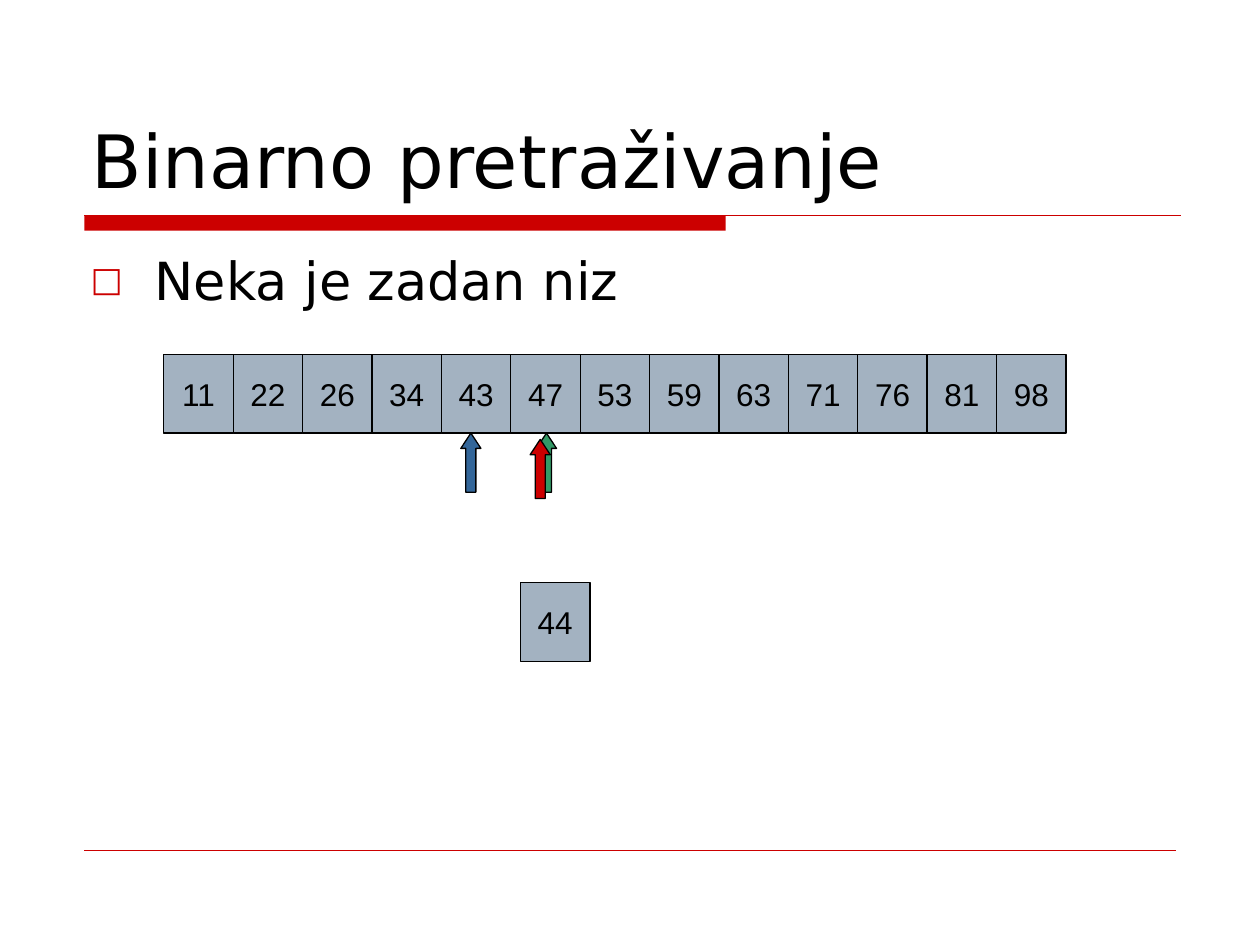
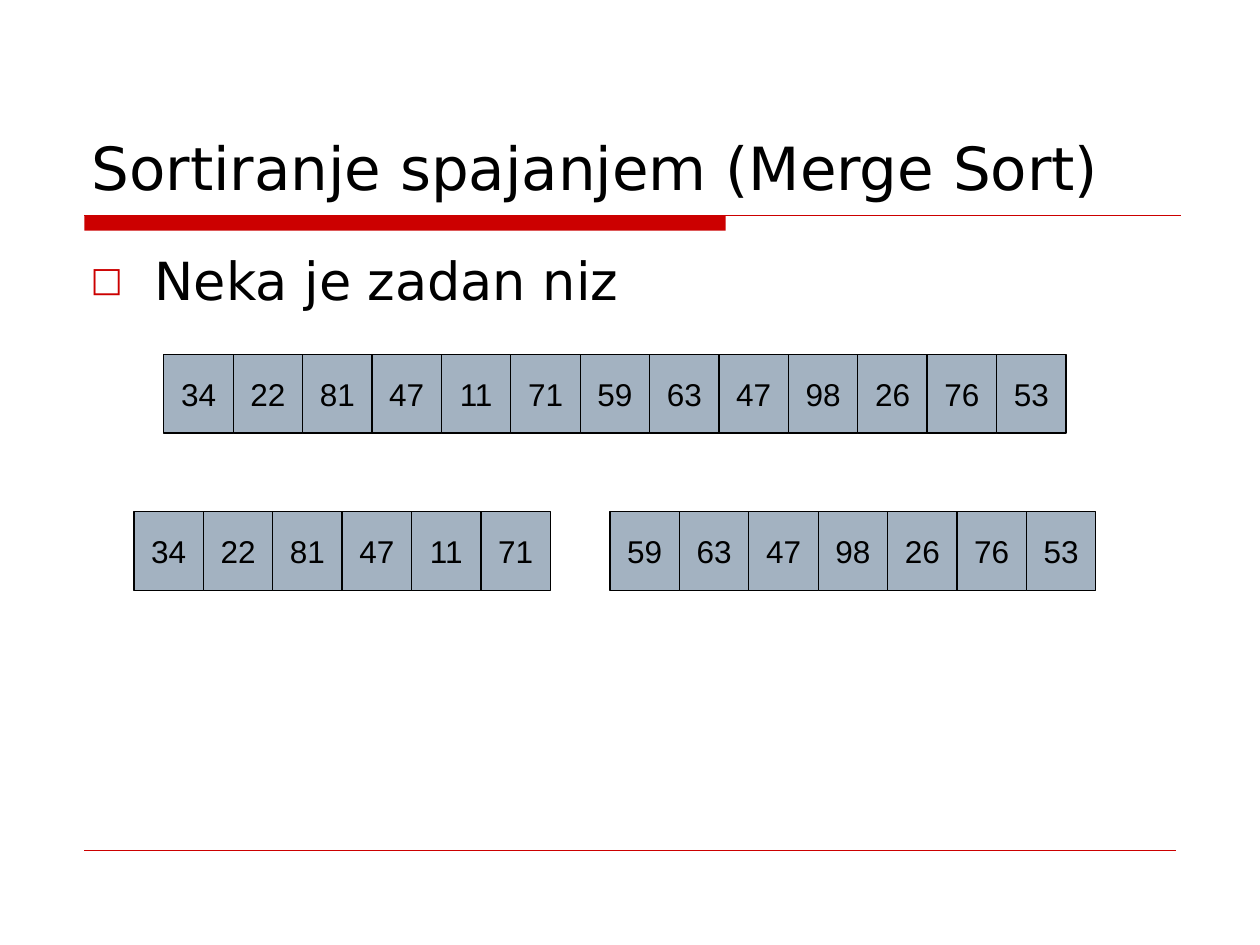
from dataclasses import dataclass
from typing import Any

from lxml import etree
from pptx import Presentation
from pptx import util as u
from pptx.dml.color import RGBColor
from pptx.enum import shapes, text
from pptx.oxml.ns import qn

BLACK = RGBColor(0x00, 0x00, 0x00)
RED = RGBColor(0xCC, 0x00, 0x00)
BLUE = RGBColor(0x33, 0x66, 0x99)
GREEN = RGBColor(0x33, 0x99, 0x66)
STEEL = RGBColor(0xA3, 0xB2, 0xC1)

HEADING_FONT = "DejaVu Sans"
CELL_FONT = "Arial"
WIDTH, HEIGHT = u.Inches(10), u.Inches(7.5)

GRID_LEFT = 13
COLUMN = 71.6 / 13
ROW = 100 / 12


@dataclass(frozen=True)
class Box:
    """Position and size as percentages of the slide."""

    left: float
    top: float
    width: float
    height: float

    def lengths(self) -> tuple[int, int, int, int]:
        return (int(WIDTH * self.left / 100), int(HEIGHT * self.top / 100),
                int(WIDTH * self.width / 100), int(HEIGHT * self.height / 100))


@dataclass(frozen=True)
class Rule:
    left: float
    right: float
    top: float
    weight: float


@dataclass(frozen=True)
class CellRun:
    column: float
    row: float
    values: tuple[int, ...]


@dataclass(frozen=True)
class Pointer:
    column: float
    row: float
    color: RGBColor


@dataclass(frozen=True)
class ArraySlide:
    title: str
    title_size: int
    runs: tuple[CellRun, ...]
    pointers: tuple[Pointer, ...] = ()


TITLE_BOX = Box(6.3, 4.4, 87.5, 17.73)
BODY_BOX = Box(6.2, 25.6, 87.5, 62.27)
BAND_BOX = Box(6.7, 22.8, 50.9, 1.6)
RULES = (Rule(6.7, 93.7, 22.8, 0.75), Rule(6.7, 93.3, 90, 0.25))
BODY_TEXT = "Neka je zadan niz"

UNSORTED = (34, 22, 81, 47, 11, 71, 59, 63, 47, 98, 26, 76, 53)
MIDDLE = len(UNSORTED) // 2
SLIDES = (
    ArraySlide(
        "Binarno pretraživanje", 42,
        (CellRun(0, 4.5, (11, 22, 26, 34, 43, 47, 53, 59, 63, 71, 76, 81, 98)),
         CellRun(5.14, 7.4, (44,))),
        (Pointer(4.28, 5.5, BLUE), Pointer(5.37, 5.5, GREEN),
         Pointer(5.28, 5.58, RED)),
    ),
    ArraySlide(
        "Sortiranje spajanjem (Merge Sort)", 34,
        (CellRun(0, 4.5, UNSORTED),
         CellRun(-0.43, 6.5, UNSORTED[:MIDDLE]),
         CellRun(MIDDLE + 0.43, 6.5, UNSORTED[MIDDLE:])),
    ),
)


def apply(target: Any, values: dict[str, Any]) -> None:
    for name, value in values.items():
        setattr(target, name, value)


def grid_box(column: float, row: float, columns: float, rows: float) -> Box:
    return Box(GRID_LEFT + column * COLUMN, row * ROW,
               columns * COLUMN, rows * ROW)


def write(shape: Any, words: str, font: str, size: float,
          frame_format: dict[str, Any], para_format: dict[str, Any]) -> Any:
    apply(shape.text_frame, frame_format)
    para = shape.text_frame.paragraphs[0]
    apply(para, para_format)
    span = para.add_run()
    span.text = words
    apply(span.font, {"name": font, "size": u.Pt(size)})
    span.font.color.rgb = BLACK
    return para


def add_text(page: Any, box: Box, words: str, size: float,
             anchor: text.MSO_ANCHOR, para_format: dict[str, Any]) -> Any:
    shape = page.shapes.add_textbox(*box.lengths())
    return write(shape, words, HEADING_FONT, size,
                 {"word_wrap": True, "vertical_anchor": anchor}, para_format)


def add_bullet(para: Any) -> None:
    properties = para._p.get_or_add_pPr()
    properties.set("marL", str(u.Inches(0.51)))
    properties.set("indent", str(-u.Inches(0.51)))
    color = etree.SubElement(properties, qn("a:buClr"))
    etree.SubElement(color, qn("a:srgbClr"), val=str(RED))
    etree.SubElement(properties, qn("a:buSzPct"), val="65000")
    etree.SubElement(properties, qn("a:buFont"), typeface=HEADING_FONT)
    etree.SubElement(properties, qn("a:buChar"), char="□")


def add_figure(page: Any, kind: shapes.MSO_SHAPE, box: Box, fill: RGBColor,
               outlined: bool = True) -> Any:
    shape = page.shapes.add_shape(kind, *box.lengths())
    shape.shadow.inherit = False
    shape.fill.solid()
    shape.fill.fore_color.rgb = fill
    if outlined:
        shape.line.color.rgb = BLACK
        shape.line.width = u.Pt(0.75)
    else:
        shape.line.fill.background()
    return shape


def add_rule(page: Any, rule: Rule) -> None:
    left, top, width, _ = Box(rule.left, rule.top, rule.right - rule.left, 0).lengths()
    line = page.shapes.add_connector(
        shapes.MSO_CONNECTOR.STRAIGHT, left, top, left + width, top)
    line.line.color.rgb = RED
    line.line.width = u.Pt(rule.weight)
    etree.SubElement(line._element.spPr, qn("a:effectLst"))


def add_cells(page: Any, run: CellRun) -> None:
    for index, value in enumerate(run.values):
        cell = add_figure(page, shapes.MSO_SHAPE.RECTANGLE,
                          grid_box(run.column + index, run.row, 1, 1), STEEL)
        write(cell, str(value), CELL_FONT, 18,
              {"word_wrap": False, "vertical_anchor": text.MSO_ANCHOR.MIDDLE},
              {"alignment": text.PP_ALIGN.CENTER})


def add_pointer(page: Any, pointer: Pointer) -> None:
    arrow = add_figure(page, shapes.MSO_SHAPE.UP_ARROW,
                       grid_box(pointer.column, pointer.row, 0.29, 0.75),
                       pointer.color)
    arrow.adjustments[0] = 0.5
    arrow.adjustments[1] = 0.76


def add_page(deck: Any, content: ArraySlide) -> None:
    page = deck.slides.add_slide(deck.slide_layouts[6])
    add_figure(page, shapes.MSO_SHAPE.RECTANGLE, BAND_BOX, RED, outlined=False)
    for rule in RULES:
        add_rule(page, rule)
    add_text(page, TITLE_BOX, content.title, content.title_size,
             text.MSO_ANCHOR.BOTTOM, {})
    body = add_text(page, BODY_BOX, BODY_TEXT, 30, text.MSO_ANCHOR.TOP,
                    {"space_before": u.Pt(7.5)})
    add_bullet(body)
    for run in content.runs:
        add_cells(page, run)
    for pointer in content.pointers:
        add_pointer(page, pointer)


def main() -> None:
    deck = Presentation()
    apply(deck, {"slide_width": WIDTH, "slide_height": HEIGHT})
    for content in SLIDES:
        add_page(deck, content)
    deck.save("out.pptx")


if __name__ == "__main__":
    main()
